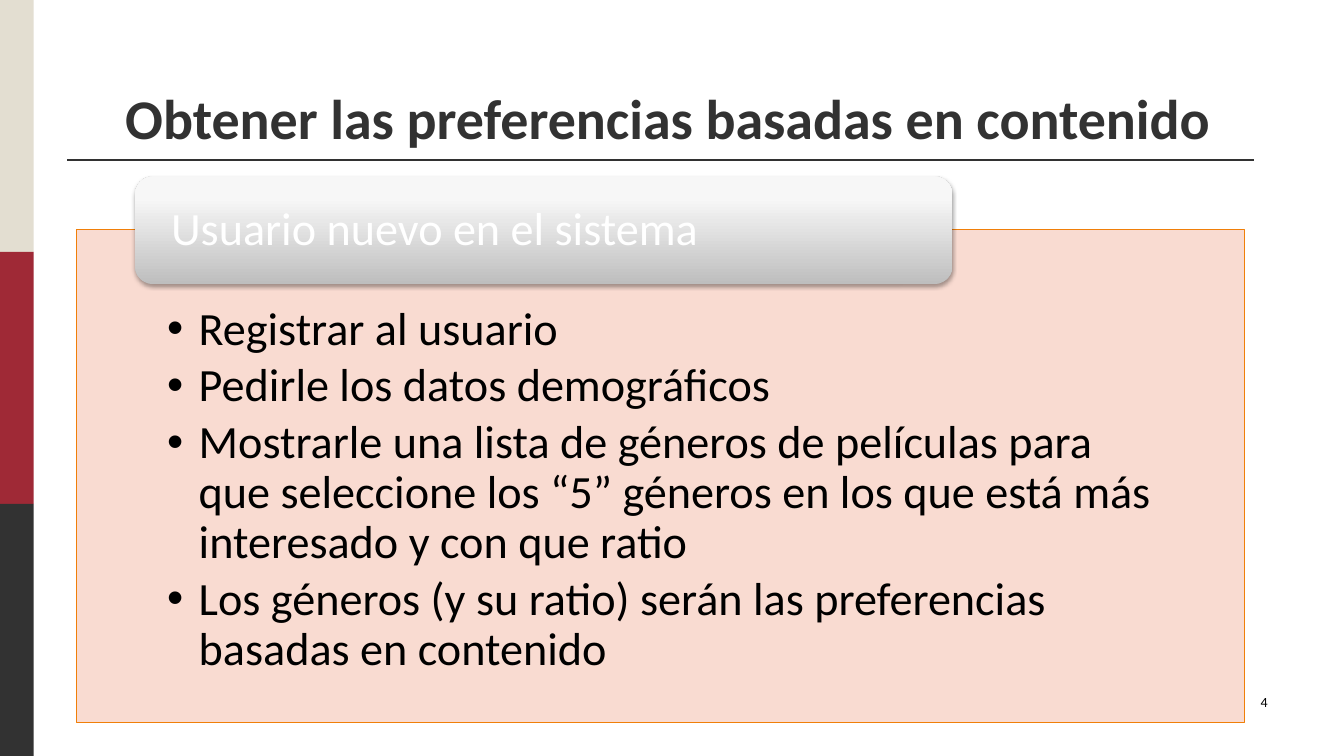
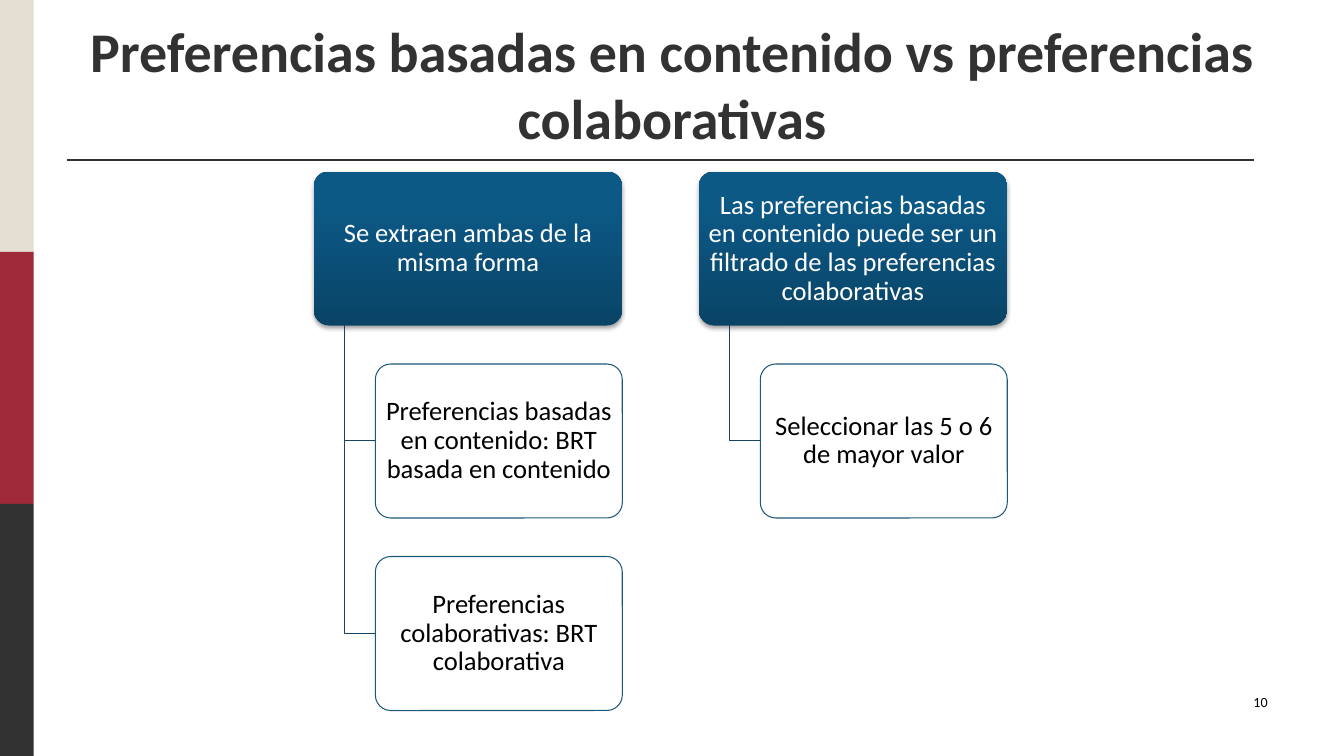
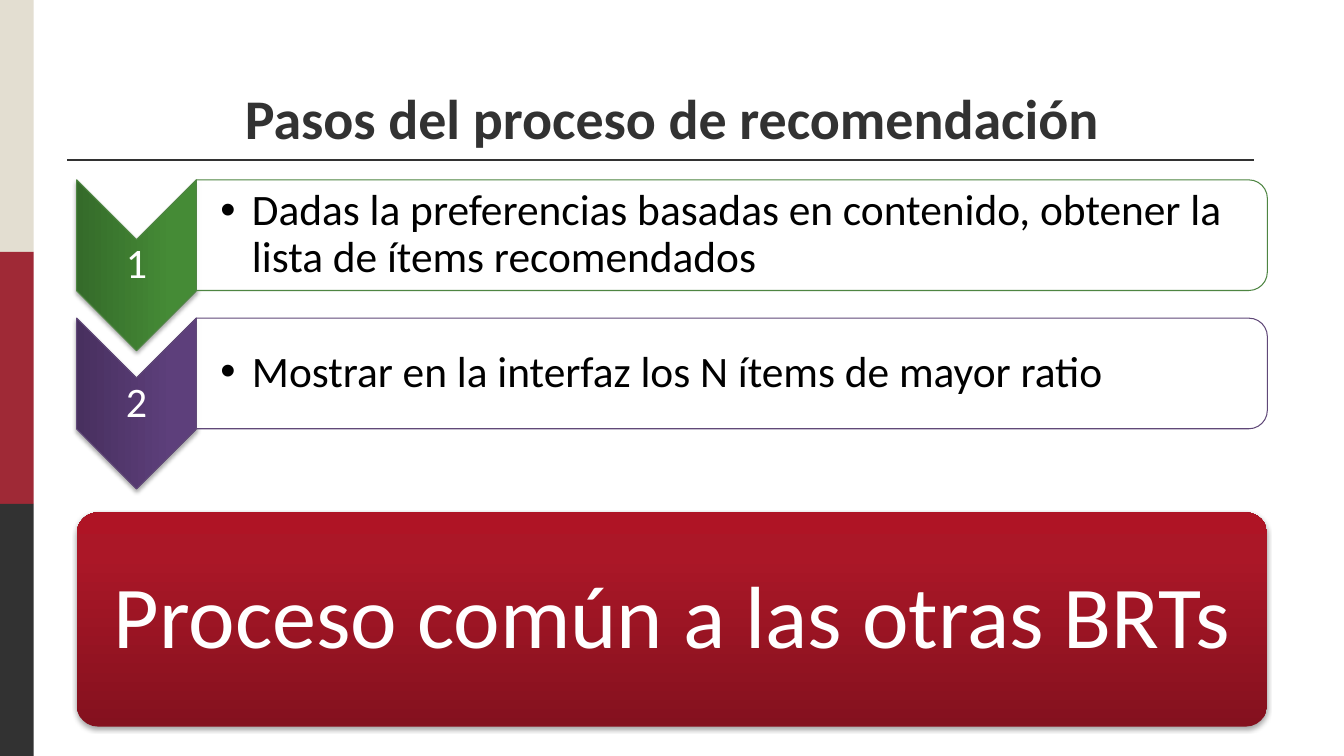
import copy

from lxml import etree
from pptx import Presentation
from pptx.dml.color import RGBColor
from pptx.enum import shapes, text
from pptx.oxml import ns
from pptx.util import Pt

C = {
    "sand": "E3DED1", "wine": "9F2936", "dark": "323232",
    "black": "000000", "white": "FFFFFF",
    "peach": "F9D8CC", "orange": "F07F09",
    "blue": "1B587C", "elbow": "164663",
    "green": "4E8542", "purple": "604878",
}
GRADIENTS = {
    "gray": ("BEBEBE", "F7F7F7", "F8F8F8"),
    "blue": ("094467", "0C5986", "0A5A89"),
    "green": ("356B2A", "458B36", "458D35"),
    "purple": ("48305F", "5D3F7B", "5D3E7D"),
    "red": ("84111E", "AB1727", "AF1425"),
}
FONT = "Calibri"
LEFT, WIDTH = 54.75, 850.5
SHAPE = shapes.MSO_SHAPE
ALIGN = text.PP_ALIGN
ANCHOR = text.MSO_ANCHOR


def rgb(name):
    return RGBColor.from_string(C[name])


def sub(parent, tag, **attrs):
    return etree.SubElement(parent, ns.qn(tag), {k: str(v) for k, v in attrs.items()})


def write(sp, lines, size=19, color="black", bold=False, align=ALIGN.LEFT,
          anchor=ANCHOR.MIDDLE, insets=(0, 0, 0, 0), spacing=0.9, after=0, hang=0):
    tf = sp.text_frame
    tf.word_wrap = True
    tf.vertical_anchor = anchor
    tf.margin_left, tf.margin_top, tf.margin_right, tf.margin_bottom = map(Pt, insets)
    for i, line in enumerate(lines):
        p = tf.add_paragraph() if i else tf.paragraphs[0]
        p.alignment = align
        p.line_spacing = spacing
        p.space_after = Pt(after)
        r = p.add_run()
        r.text = line
        r.font.name, r.font.size, r.font.bold = FONT, Pt(size), bold
        r.font.color.rgb = rgb(color)
        if hang:
            pPr = p._p.get_or_add_pPr()
            pPr.set("marL", str(Pt(hang)))
            pPr.set("indent", str(-Pt(hang)))
            sub(pPr, "a:buFont", typeface="Arial")
            sub(pPr, "a:buChar", char="•")


def textbox(s, box, lines, **fmt):
    write(s.shapes.add_textbox(*map(Pt, box)), lines, **fmt)


def gradient(sp, name):
    sp.fill.gradient()
    sp.fill.gradient_angle = 90
    stops = sp._element.spPr.find(ns.qn("a:gradFill")).find(ns.qn("a:gsLst"))
    stops.append(copy.deepcopy(stops[-1]))
    for stop, place, value in zip(sp.fill.gradient_stops, (0, 0.8, 1), GRADIENTS[name]):
        stop.position = place
        stop.color.rgb = RGBColor.from_string(value)


def drop_shadow(sp):
    effects = sp._element.spPr.find(ns.qn("a:effectLst"))
    shadow = sub(effects, "a:outerShdw", blurRad=Pt(3.1), dist=Pt(1.8),
                 dir=5400000, rotWithShape=0)
    sub(sub(shadow, "a:srgbClr", val=C["black"]), "a:alpha", val=35000)


def shape(s, kind, box, fill=None, grad=None, line=None, alpha=None, adj=None, turned=False):
    x, y, w, h = box
    if turned:
        x, y, w, h = x + (w - h) / 2, y + (h - w) / 2, h, w
    sp = s.shapes.add_shape(kind, Pt(x), Pt(y), Pt(w), Pt(h))
    sp.shadow.inherit = False
    if turned:
        sp.rotation = 90
    if adj is not None:
        sp.adjustments[0] = adj
    if line:
        sp.line.color.rgb = rgb(line)
        sp.line.width = Pt(0.75)
    else:
        sp.line.fill.background()
    if grad:
        gradient(sp, grad)
        drop_shadow(sp)
    else:
        sp.fill.solid()
        sp.fill.fore_color.rgb = rgb(fill)
        if alpha:
            color = sp._element.spPr.find(ns.qn("a:solidFill"))[0]
            sub(color, "a:alpha", val=alpha * 1000)
    return sp


def base_slide(prs, title, number=None, title_box=(LEFT, 21.5, WIDTH, 90)):
    s = prs.slides.add_slide(prs.slide_layouts[6])
    for i, color in enumerate(("sand", "wine", "dark")):
        shape(s, SHAPE.RECTANGLE, (0, i * 180, 24, 180), fill=color)
    rule = s.shapes.add_connector(shapes.MSO_CONNECTOR.STRAIGHT,
                                  Pt(48), Pt(114), Pt(895.5), Pt(114))
    rule.line.color.rgb = rgb("dark")
    rule.line.width = Pt(1.5)
    sub(rule._element.spPr, "a:effectLst")
    textbox(s, title_box, [title], size=40, color="dark", bold=True, align=ALIGN.CENTER,
            anchor=ANCHOR.BOTTOM, insets=(7.2, 3.6, 7.2, 3.6), spacing=1)
    if number:
        textbox(s, (688.5, 492, 224, 36), [number], size=10, align=ALIGN.RIGHT,
                anchor=ANCHOR.TOP, insets=(7.2, 3.6, 7.2, 3.6), spacing=1)
    return s


def tabbed_panel(s, box, heading, bullets):
    x, y, w, h = box
    panel = shape(s, SHAPE.RECTANGLE, box, fill="peach", alpha=90, line="orange")
    write(panel, bullets, size=33, anchor=ANCHOR.TOP, insets=(64.75, 54, 64.75, 19),
          after=5, hang=22.5)
    tab = shape(s, SHAPE.ROUNDED_RECTANGLE, (x + w * 0.05, y - 38, w * 0.7, 77), grad="gray")
    write(tab, [heading], size=33, color="white", insets=(22, 0, 22, 0))


def branch(s, box, heading, children):
    x, y, w, h = box
    card_fmt = dict(align=ALIGN.CENTER, insets=(3, 2, 3, 2))
    head = shape(s, SHAPE.ROUNDED_RECTANGLE, box, grad="blue", adj=0.1)
    write(head, [heading], color="white", **card_fmt)
    for i, child in enumerate(children, 1):
        top = y + i * h * 1.25
        left, trunk, middle = x + w * 0.2, x + w * 0.1, top + h / 2
        outline = s.shapes.build_freeform(Pt(trunk), Pt(y + h))
        outline.add_line_segments([(Pt(trunk), Pt(middle)), (Pt(left), Pt(middle))],
                                  close=False)
        elbow = outline.convert_to_shape()
        elbow.shadow.inherit = False
        elbow.fill.background()
        elbow.line.color.rgb = rgb("elbow")
        elbow.line.width = Pt(0.75)
        card = shape(s, SHAPE.ROUNDED_RECTANGLE, (left, top, w * 0.8, h),
                     fill="white", alpha=90, line="blue", adj=0.1)
        write(card, [child], **card_fmt)


def step(s, box, number, line, color):
    x, y, w, h = box
    cw = 85.5
    shape(s, SHAPE.CHEVRON, (x, y, cw, 122), grad=color, line=color, turned=True)
    textbox(s, (x, y + cw / 2, cw, 36.5), [number], size=30, color="white",
            align=ALIGN.CENTER, insets=(1.5, 1.5, 1.5, 1.5))
    bar = (x + cw, y, w - cw, h)
    shape(s, SHAPE.ROUND_2_SAME_RECTANGLE, bar, fill="white", alpha=90, line=color, turned=True)
    textbox(s, (x + cw, y, w - cw - 4, h), [line], size=31,
            insets=(17.25, 1.5, 1.5, 1.5), hang=22.5)


def banner(s, box, line):
    sp = shape(s, SHAPE.ROUNDED_RECTANGLE, box, grad="red", adj=0.1)
    write(sp, [line], size=63, color="white", align=ALIGN.CENTER, insets=(18, 18, 18, 18))


def main():
    prs = Presentation()
    prs.slide_width, prs.slide_height = Pt(960), Pt(540)

    s = base_slide(prs, "Obtener las preferencias basadas en contenido", "4",
                   title_box=(49, 21.5, 856, 90))
    tabbed_panel(s, (LEFT, 164, 834, 352), "Usuario nuevo en el sistema", [
        "Registrar al usuario",
        "Pedirle los datos demográficos",
        "Mostrarle una lista de géneros de películas para que seleccione los “5” géneros "
        "en los que está más interesado y con que ratio",
        "Los géneros (y su ratio) serán las preferencias basadas en contenido",
    ])

    s = base_slide(prs, "Preferencias basadas en contenido vs preferencias colaborativas", "10")
    branches = [
        ("Se extraen ambas de la misma forma",
         ["Preferencias basadas en contenido: BRT basada en contenido",
          "Preferencias colaborativas: BRT colaborativa"]),
        ("Las preferencias basadas en contenido puede ser un filtrado de las "
         "preferencias colaborativas",
         ["Seleccionar las 5 o 6 de mayor valor"]),
    ]
    for i, (heading, children) in enumerate(branches):
        branch(s, (224 + i * 275, 122.5, 220.5, 110), heading, children)

    s = base_slide(prs, "Pasos del proceso de recomendación")
    steps = [
        ("Dadas la preferencias basadas en contenido, obtener la lista de ítems recomendados",
         "green"),
        ("Mostrar en la interfaz los N ítems de mayor ratio", "purple"),
    ]
    for i, (line, color) in enumerate(steps):
        step(s, (LEFT, 128.5 + i * 98.75, WIDTH, 79), str(i + 1), line, color)
    banner(s, (LEFT, 366, WIDTH, 153), "Proceso común a las otras BRTs")

    prs.save("out.pptx")


if __name__ == "__main__":
    main()
